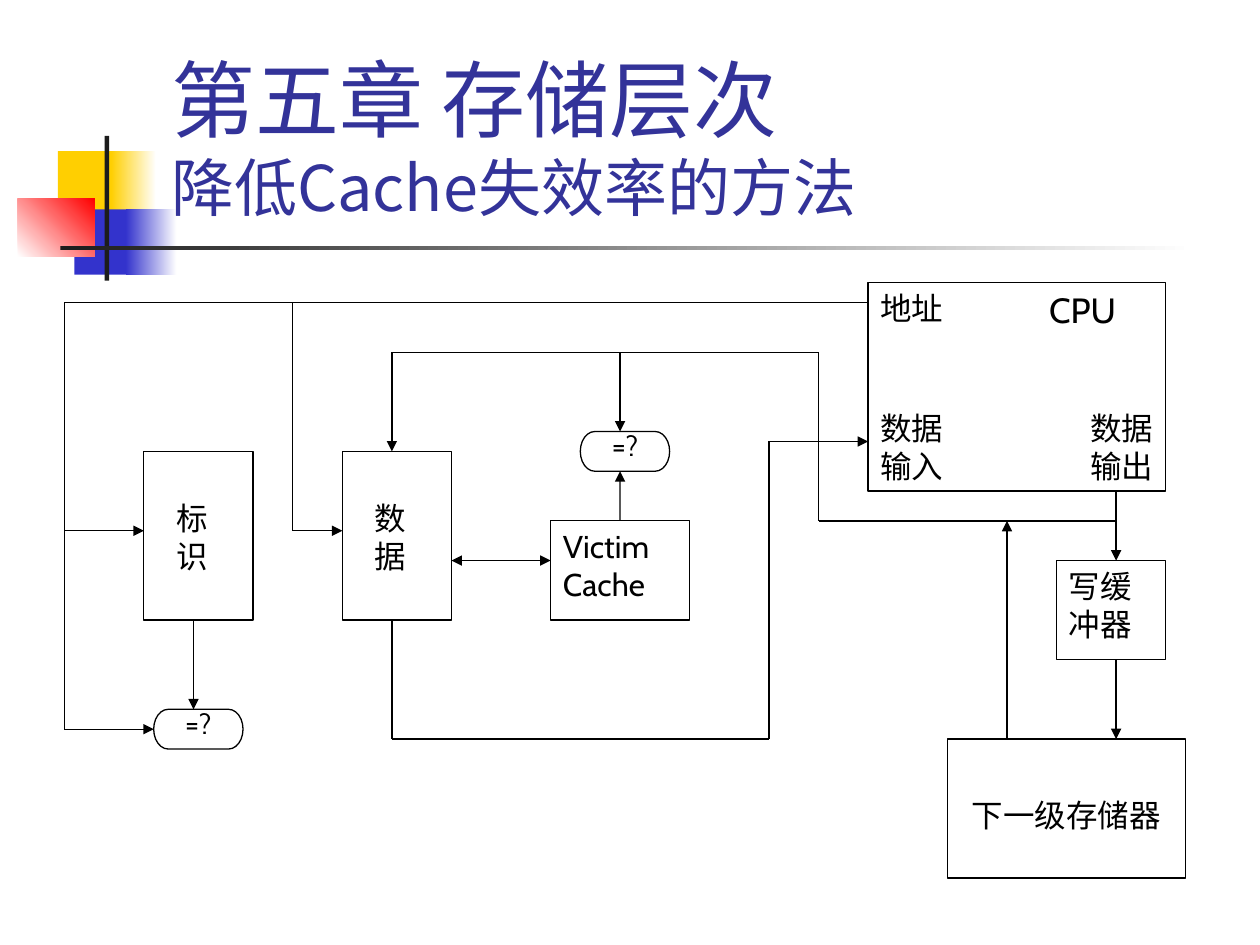
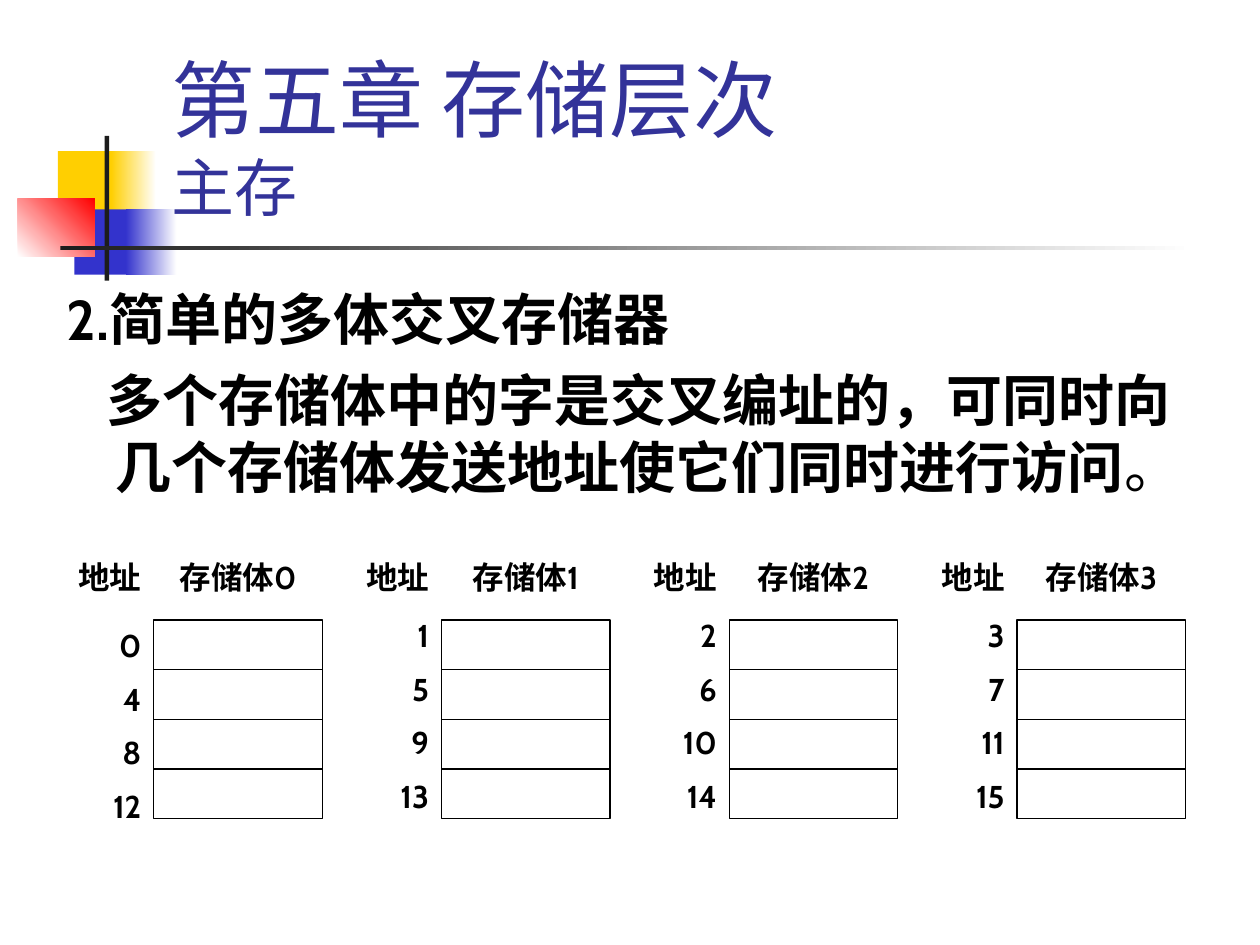
from dataclasses import dataclass

from lxml import etree
from pptx import Presentation
from pptx.dml.color import RGBColor
from pptx.enum.shapes import MSO_CONNECTOR, MSO_SHAPE
from pptx.enum.text import MSO_ANCHOR, PP_ALIGN
from pptx.oxml.ns import qn
from pptx.util import Cm, Pt

RECT = MSO_SHAPE.RECTANGLE
PILL = MSO_SHAPE.FLOWCHART_TERMINATOR
LINE = MSO_CONNECTOR.STRAIGHT
LEFT, MID, RIGHT = PP_ALIGN.LEFT, PP_ALIGN.CENTER, PP_ALIGN.RIGHT
BASE = MSO_ANCHOR.BOTTOM
TOP, WEST, EAST = 0, 1, 3


@dataclass(frozen=True)
class Theme:
    font: str = "Cabin"
    alt: str = "Noto Sans CJK SC"
    ink: str = "000000"
    title: str = "333399"
    gold: str = "FFCF01"
    blue: str = "3333CC"
    red: str = "FF0000"
    white: str = "FFFFFF"
    dark: str = "1C1C1C"
    head: int = 48
    sub: int = 36
    body: int = 32
    large: int = 20
    label: int = 18
    small: int = 16
    rule: float = 0.75


class Deck:
    def __init__(self, theme):
        self.theme = theme
        self.file = Presentation()
        self.file.slide_width, self.file.slide_height = Cm(25.4), Cm(19.05)
        self.slide = None

    def page(self, head, sub, font=None):
        t = self.theme
        self.slide = self.file.slides.add_slide(self.file.slide_layouts[6])
        self.block((1.17, 3.05, 1.22, 1.32), t.gold)
        self.block((2.24, 3.05, 0.91, 1.32), t.gold, t.white)
        self.block((1.5, 4.22, 1.17, 1.32), t.blue)
        self.block((2.54, 4.22, 1.02, 1.32), t.blue, t.white)
        self.block((0.36, 4.01, 1.55, 1.17), t.white, t.red, 45)
        self.block((2.11, 2.74, 0.09, 2.92), t.dark)
        self.block((1.22, 4.95, 22.86, 0.09), t.dark, t.white)
        frame = self.text((3.2, 0.58, 21.64, 4.06), f"{head}\v{sub}", t.head, color=t.title)
        frame.vertical_anchor = BASE
        self.style(frame.paragraphs[0].runs[1], t.sub, color=t.title, font=font)

    def shape(self, kind, at):
        shape = self.slide.shapes.add_shape(kind, *map(Cm, at))
        shape.shadow.inherit = False
        return shape

    def block(self, at, start, end=None, angle=0):
        shape = self.shape(RECT, at)
        shape.line.fill.background()
        fill = shape.fill
        if end is None:
            fill.solid()
            fill.fore_color.rgb = RGBColor.from_string(start)
            return
        fill.gradient()
        fill.gradient_angle = angle
        for stop, color in zip(fill.gradient_stops, (start, end)):
            stop.color.rgb = RGBColor.from_string(color)

    def stroke(self, line):
        line.color.rgb = RGBColor.from_string(self.theme.ink)
        line.width = Pt(self.theme.rule)

    def box(self, at, kind=RECT):
        shape = self.shape(kind, at)
        shape.fill.background()
        self.stroke(shape.line)
        return shape

    def style(self, run, size, bold=False, color=None, font=None):
        t = self.theme
        run.font.name = font or t.font
        run.font.size = Pt(size)
        run.font.bold = bold
        run.font.color.rgb = RGBColor.from_string(color or t.ink)
        face = run.font._element.find(qn("a:ea"))
        if face is None:
            face = etree.Element(qn("a:ea"))
            run.font._element.find(qn("a:latin")).addnext(face)
        face.set("typeface", t.font)

    def text(self, at, words, size=None, align=LEFT, bold=False, color=None, gap=0):
        frame = self.slide.shapes.add_textbox(*map(Cm, at)).text_frame
        frame.word_wrap = True
        frame.text = words
        for i, para in enumerate(frame.paragraphs):
            para.alignment = align
            if i and gap:
                para.space_before = Pt(gap)
            for run in para.runs:
                self.style(run, size or self.theme.label, bold, color)
        return frame

    def wire(self, *points, head=False, tail=False):
        lines = []
        for start, end in zip(points, points[1:]):
            line = self.slide.shapes.add_connector(LINE, *map(Cm, start + end))
            self.stroke(line.line)
            etree.SubElement(line._element.spPr, qn("a:effectLst"))
            lines.append(line)
        if head:
            self.arrow(lines[0], "a:headEnd")
        if tail:
            self.arrow(lines[-1], "a:tailEnd")
        return lines[-1]

    def arrow(self, line, tag):
        etree.SubElement(line.line._get_or_add_ln(), qn(tag), type="triangle")

    def test(self, left, top):
        self.box((left, top, 1.8, 0.8), PILL)
        self.text((left - 0.2, top - 0.19, 2.2, 0.94), "=?", self.theme.small, MID)

    def store(self, left, words):
        self.box((left, 9.1, 2.2, 3.4))
        self.text((left + 0.4, 9.93, 1.4, 1.78), words)

    def bank(self, index, left, wide, slim, top):
        width, base, rows = 3.4, 12.5, 4
        frame = self.box((left, base, width, rows))
        for row in range(1, rows):
            line = self.wire((left, base + row), (left + width, base + row))
            if row * 2 == rows:
                line.begin_connect(frame, WEST)
                line.end_connect(frame, EAST)
        cells = "\n".join(str(index + 4 * row) for row in range(rows))
        self.text((left - slim, top, slim, 4.27), cells, align=RIGHT, bold=True, gap=9)
        self.text((left - wide, 11.13, wide, 1.02), "地址", align=RIGHT, bold=True)
        self.text((left, 11.13, width, 1.02), f"存储体{index}", align=MID, bold=True)


def victim(deck):
    t = deck.theme
    deck.page("第五章 存储层次", "降低Cache失效率的方法", t.alt)
    deck.box((17.5, 5.7, 6, 4.2))
    deck.text((17.5, 5.7, 2.6, 1.02), "地址")
    deck.text((20.9, 5.7, 2.6, 1.12), "CPU", t.large)
    deck.text((17.5, 8.13, 2.4, 1.78), "数据输入")
    deck.text((21.3, 8.13, 2.2, 1.78), "数据输出", align=RIGHT)
    deck.store(2.9, "标识")
    deck.store(6.9, "数据")
    deck.test(3.1, 14.3)
    deck.test(11.7, 8.7)
    cache = deck.box((11.1, 10.5, 2.8, 2))
    deck.text((11.1, 10.5, 2.8, 1.78), "Victim\nCache")
    deck.box((21.3, 11.3, 2.2, 2))
    deck.text((21.3, 11.3, 2.2, 1.78), "写缓冲器")
    deck.box((19.1, 14.9, 4.8, 2.8))
    deck.text((19.1, 15.93, 4.8, 1.02), "下一级存储器", align=MID)

    deck.wire((17.5, 6.1), (1.3, 6.1), (1.3, 14.7), (3.1, 14.7), tail=True)
    deck.wire((1.3, 10.7), (2.9, 10.7), tail=True)
    deck.wire((5.9, 6.1), (5.9, 10.7), (6.9, 10.7), tail=True)
    deck.wire((3.9, 12.5), (3.9, 14.3), tail=True)
    deck.wire((7.9, 12.5), (7.9, 14.9), (15.5, 14.9), (15.5, 8.9), (17.5, 8.9), tail=True)
    deck.wire((22.5, 9.9), (22.5, 11.3), tail=True)
    deck.wire((9.1, 11.3), (11.1, 11.3), head=True, tail=True)
    deck.wire((22.5, 10.5), (16.5, 10.5), (16.5, 7.1), (7.9, 7.1), (7.9, 9.1), tail=True)
    deck.wire((12.5, 7.1), (12.5, 8.7), tail=True)
    deck.wire((12.5, 10.5), (12.5, 9.5), tail=True).begin_connect(cache, TOP)
    deck.wire((22.5, 13.3), (22.5, 14.9), tail=True)
    deck.wire((20.3, 14.9), (20.3, 10.5), tail=True)


def banks(deck):
    t = deck.theme
    deck.page("第五章 存储层次", "主存")
    words = "2.简单的多体交叉存储器\n多个存储体中的字是交叉编址的，可同时向几个存储体发送地址使它们同时进行访问"
    frame = deck.text((1.1, 5.61, 23.77, 4.72), words, t.body, bold=True, gap=8)
    for para, indent in zip(frame.paragraphs, (-0.97, -0.18)):
        props = para._p.get_or_add_pPr()
        props.set("marL", str(Cm(0.97)))
        props.set("indent", str(Cm(indent)))
    stop = frame.paragraphs[1].add_run()
    stop.text = "。"
    deck.style(stop, t.body)
    sizes = (2, 1.4, 12.5), (2, 1.4, 12.3), (1.8, 1.6, 12.3), (1.8, 1.6, 12.3)
    for i, size in enumerate(sizes):
        deck.bank(i, 3.1 + 5.8 * i, *size)


def main():
    deck = Deck(Theme())
    victim(deck)
    banks(deck)
    deck.file.save("out.pptx")


if __name__ == "__main__":
    main()
